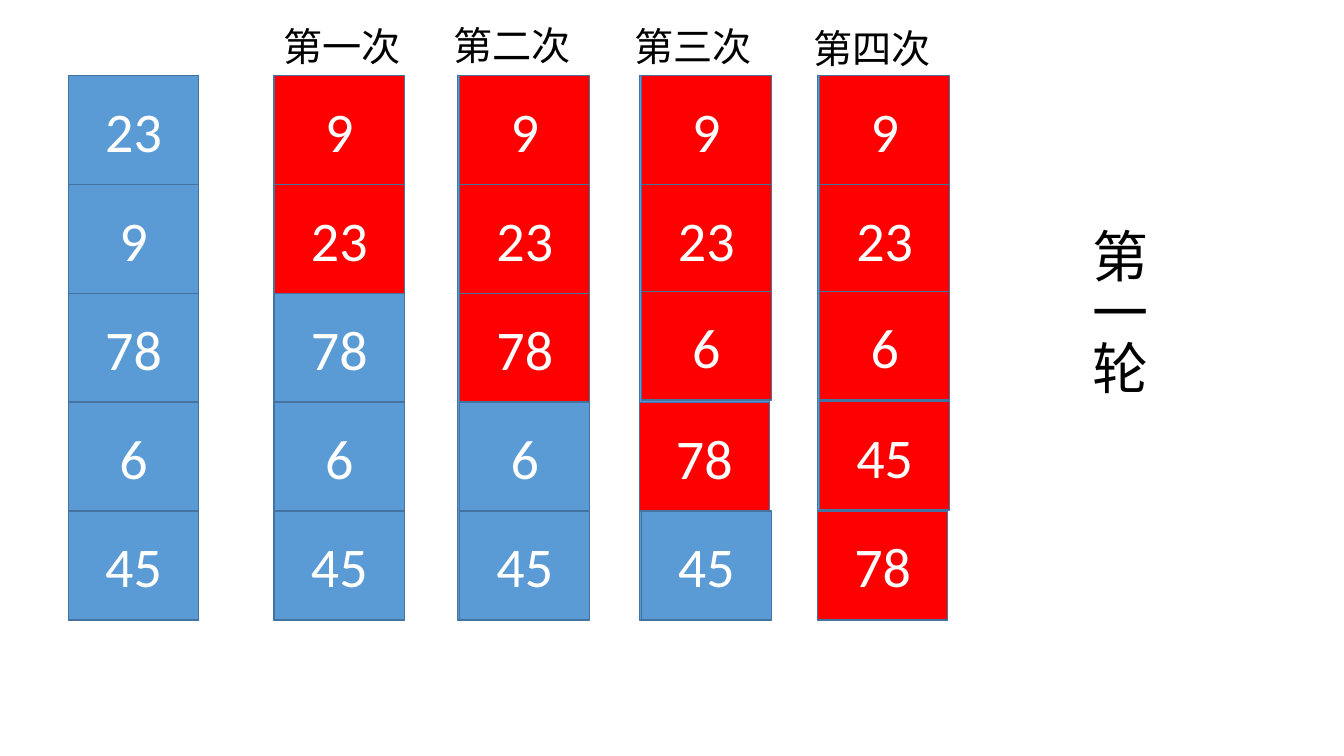
"""Draw the first round of a bubble sort as five columns of numbers."""
import pptx
import pptx.dml.color
import pptx.enum.shapes
import pptx.enum.text
import pptx.util

RGBColor = pptx.dml.color.RGBColor
BLUE = RGBColor(0x5B, 0x9B, 0xD5)
EDGE = RGBColor(0x43, 0x73, 0x9E)
RED = RGBColor(0xFF, 0x00, 0x00)
WHITE = RGBColor(0xFF, 0xFF, 0xFF)
BLACK = RGBColor(0x00, 0x00, 0x00)

WIDTH, HEIGHT = 13.33, 7.5
CELL_W, CELL_H, TOP = 1.29, 1.08, 0.75
INSET = 0.02
ROWS = 5

COLUMNS = [
    (0.68, 0, [23, 9, 78, 6, 45], 0),
    (2.71, 0.01, [9, 23, 78, 6, 45], 2),
    (4.54, INSET, [9, 23, 78, 6, 45], 3),
    (6.34, INSET, [9, 23, 6, 78, 45], 4),
    (8.11, INSET, [9, 23, 6, 45, 78], 5),
]
NUDGES = {
    (3, 2): (0, -INSET),
    (3, 3): (-INSET, 0),
    (4, 2): (0, -INSET),
    (4, 3): (0, -0.01),
    (4, 4): (-INSET, 0),
}
LABELS = [
    ("第一次", 2.71, 0.17, 2.43),
    ("第二次", 4.4, 0.16, 1.42),
    ("第三次", 6.19, 0.17, 1.42),
    ("第四次", 7.97, 0.19, 1.42),
]


def inches(*lengths):
    return [pptx.util.Inches(n) for n in lengths]


def write(tf, text, size, color, align):
    p = tf.paragraphs[0]
    p.alignment = align
    r = p.add_run()
    r.text = text
    font = {"name": "Calibri", "size": pptx.util.Pt(size)}
    for key, value in font.items():
        setattr(r.font, key, value)
    r.font.color.rgb = color


def add_box(s, left, top, rows, fill, text=None):
    sp = s.shapes.add_shape(
        pptx.enum.shapes.MSO_SHAPE.RECTANGLE,
        *inches(left, top, CELL_W, rows * CELL_H))
    sp.shadow.inherit = False
    sp.fill.solid()
    sp.fill.fore_color.rgb = fill
    sp.line.color.rgb = EDGE
    sp.line.width = pptx.util.Pt(1)
    if text:
        sp.text_frame.vertical_anchor = pptx.enum.text.MSO_ANCHOR.MIDDLE
        write(sp.text_frame, text, 40, WHITE, pptx.enum.text.PP_ALIGN.CENTER)


def add_column(s, index, left, inset, values, compared):
    add_box(s, left, TOP, ROWS, BLUE)
    for row, value in enumerate(values):
        dx, dy = NUDGES.get((index, row), (0, 0))
        fill = RED if row < compared else BLUE
        add_box(s, left + inset + dx, TOP + row * CELL_H + dy, 1, fill, str(value))


def add_label(s, text, left, top, width, height=0.57, size=28, vertical=False):
    tf = s.shapes.add_textbox(*inches(left, top, width, height)).text_frame
    layout = {"word_wrap": True,
              "auto_size": pptx.enum.text.MSO_AUTO_SIZE.SHAPE_TO_FIT_TEXT}
    for key, value in layout.items():
        setattr(tf, key, value)
    if vertical:
        tf._txBody.bodyPr.set("vert", "eaVert")
    write(tf, text, size, BLACK, pptx.enum.text.PP_ALIGN.LEFT)


def main():
    prs = pptx.Presentation()
    prs.slide_width, prs.slide_height = inches(WIDTH, HEIGHT)
    s = prs.slides.add_slide(prs.slide_layouts[6])
    for index, column in enumerate(COLUMNS):
        add_column(s, index, *column)
    for label in LABELS:
        add_label(s, *label)
    add_label(s, "第一轮", 10.6, 2.17, 0.88, 4.71, size=40, vertical=True)
    prs.save("out.pptx")


if __name__ == "__main__":
    main()
